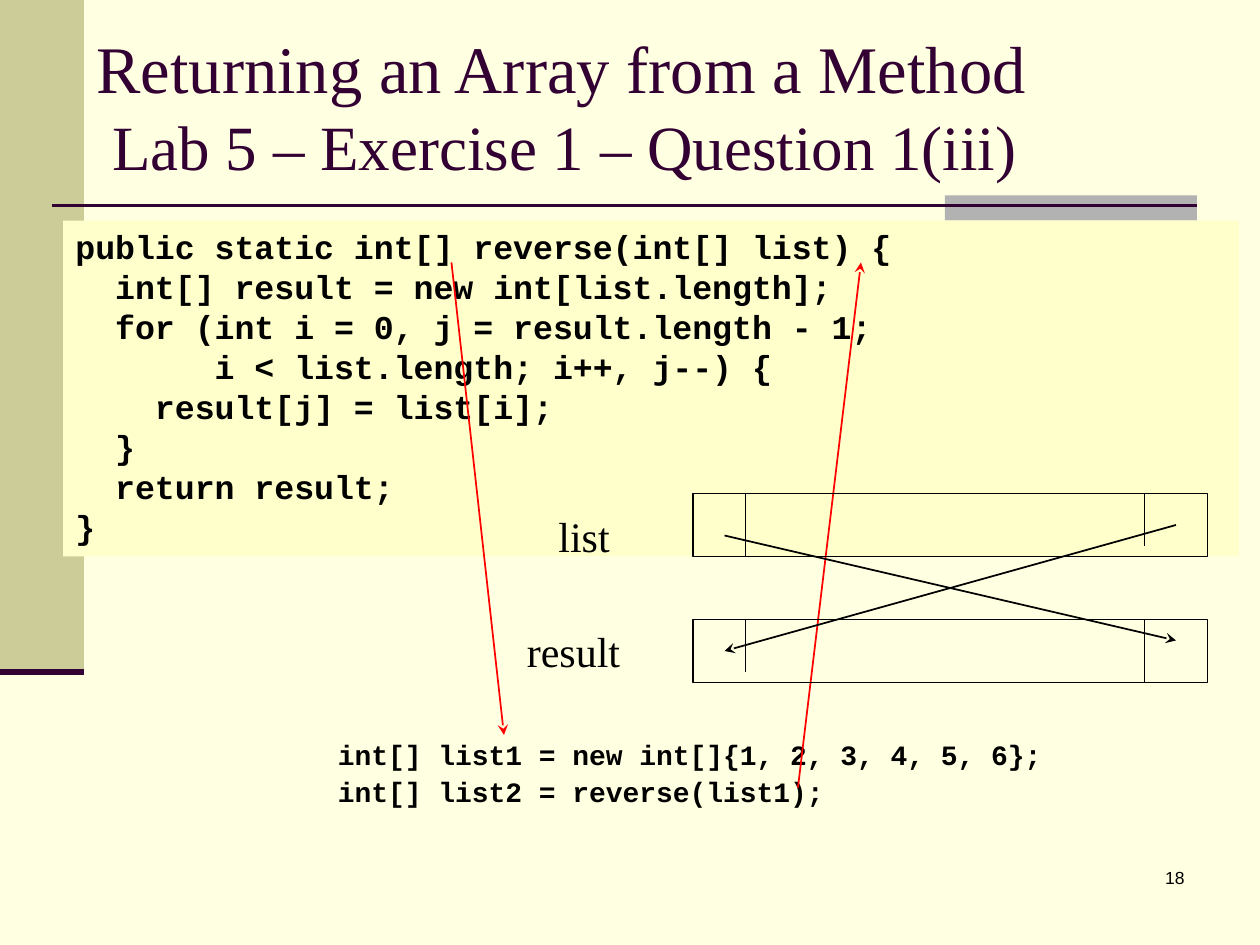
from dataclasses import dataclass

from lxml import etree
from pptx import Presentation
from pptx.dml.color import RGBColor
from pptx.enum.shapes import MSO_CONNECTOR, MSO_SHAPE
from pptx.enum.text import MSO_ANCHOR, MSO_AUTO_SIZE, PP_ALIGN
from pptx.oxml.ns import qn
from pptx.util import Inches, Pt

RECT = MSO_SHAPE.RECTANGLE
STRAIGHT = MSO_CONNECTOR.STRAIGHT
LEFT, RIGHT = PP_ALIGN.LEFT, PP_ALIGN.RIGHT
TOP, MIDDLE = MSO_ANCHOR.TOP, MSO_ANCHOR.MIDDLE
NO_FIT = MSO_AUTO_SIZE.NONE

COLORS = {
    "page": "FFFFE1",
    "sidebar": "CCCC99",
    "accent": "B2B2B2",
    "plum": "330033",
    "code": "FFFFCC",
    "black": "000000",
    "red": "FF0000",
}
SERIF, SANS, MONO = "Times New Roman", "Arial", "Courier New"

# The slide is a grid of 120 columns by 90 rows.
COLS, ROWS = 120, 90
prs = Presentation()
prs.slide_width, prs.slide_height = Inches(10), Inches(7.5)
CELL = prs.slide_width // COLS


@dataclass
class Box:
    col: float
    row: float
    cols: float
    rows: float

    def emu(self) -> list[int]:
        return [round(v * CELL) for v in (self.col, self.row, self.cols, self.rows)]


@dataclass
class Line:
    col1: float
    row1: float
    col2: float
    row2: float
    color: str = "black"
    width: float = 1
    arrow: bool = False


@dataclass
class Font:
    name: str
    size: float
    color: str = "black"
    bold: bool = False


def rgb(name: str) -> RGBColor:
    return RGBColor.from_string(COLORS[name])


def add_run(p, text: str, font: Font) -> None:
    r = p.add_run()
    r.text = text
    r.font.name, r.font.size, r.font.bold = font.name, Pt(font.size), font.bold
    r.font.color.rgb = rgb(font.color)


def add_rect(shapes, box: Box, fill: str | None = None, line: str | None = None):
    sp = shapes.add_shape(RECT, *box.emu())
    sp.shadow.inherit = False
    if fill:
        sp.fill.solid()
        sp.fill.fore_color.rgb = rgb(fill)
    else:
        sp.fill.background()
    if line:
        sp.line.color.rgb = rgb(line)
        sp.line.width = Pt(1)
    else:
        sp.line.fill.background()
    return sp


def add_line(shapes, line: Line) -> None:
    ends = (line.col1, line.row1, line.col2, line.row2)
    cxn = shapes.add_connector(STRAIGHT, *(round(v * CELL) for v in ends))
    cxn.line.color.rgb = rgb(line.color)
    cxn.line.width = Pt(line.width)
    if line.arrow:
        tail = etree.SubElement(cxn.line._get_or_add_ln(), qn("a:tailEnd"))
        tail.set("type", "stealth")
    etree.SubElement(cxn._element.spPr, qn("a:effectLst"))


def write_lines(sp, lines: list[str], font: Font, align=LEFT,
                spacing: float = 1, gap: float = 0) -> None:
    """Put each line in its own paragraph, with gap points between them."""
    tf = sp.text_frame
    tf.word_wrap = True
    tf.vertical_anchor = TOP
    for i, text in enumerate(lines):
        p = tf.add_paragraph() if i else tf.paragraphs[0]
        p.alignment = align
        p.line_spacing = spacing
        if i:
            p.space_before = Pt(gap)
        add_run(p, text, font)


def add_text(shapes, box: Box, lines: list[str], font: Font, **layout) -> None:
    write_lines(shapes.add_textbox(*box.emu()), lines, font, **layout)


def add_title(slide) -> None:
    title = slide.shapes.title
    title.left, title.top, title.width, title.height = Box(8, 4, 103, 12).emu()
    tf = title.text_frame
    tf.auto_size = NO_FIT
    tf.vertical_anchor = MIDDLE
    p = tf.paragraphs[0]
    p.alignment = LEFT
    add_run(p, "Returning an Array from a Method", Font(SERIF, 38, "plum"))
    p.add_line_break()
    add_run(p, " Lab 5 – Exercise 1 – Question 1(iii)", Font(SERIF, 36, "plum"))


METHOD = [
    "public static int[] reverse(int[] list) {",
    "  int[] result = new int[list.length];",
    "  for (int i = 0, j = result.length - 1;",
    "       i < list.length; i++, j--) {",
    "    result[j] = list[i];",
    "  }",
    "  return result;",
    "}",
]
CALL = [
    "int[] list1 = new int[]{1, 2, 3, 4, 5, 6};",
    "int[] list2 = reverse(list1);",
]
ARRAY_COL, ARRAY_COLS, ARRAY_ROWS = 66, 49, 6
LIST_ROW, RESULT_ROW = 47, 59
FIRST_COL, LAST_COL = 71, 109  # dividers of the first and last array elements

DECOR_LINES = [
    Line(5, 19.6, 114, 19.6, "plum", 1.5),
    Line(0, 64, 8, 64, "plum", 3.5),
]
CALL_ARROWS = [
    Line(76, 75, 82, 25, "red", arrow=True),
    Line(43, 25, 48, 70, "red", arrow=True),
]
DIVIDERS = [
    Line(col, row, col, row + rows)
    for col, row, rows in [
        (FIRST_COL, LIST_ROW, ARRAY_ROWS),
        (FIRST_COL, RESULT_ROW, ARRAY_ROWS - 1),
        (LAST_COL, RESULT_ROW, ARRAY_ROWS),
        (LAST_COL, LIST_ROW, ARRAY_ROWS - 1),
    ]
]
SWAP_ARROWS = [
    Line(69, 51, 112, 61, arrow=True),
    Line(112, 50, 69, 62, arrow=True),
]

slide = prs.slides.add_slide(prs.slide_layouts.get_by_name("Title Only"))
slide.background.fill.solid()
slide.background.fill.fore_color.rgb = rgb("page")
shapes = slide.shapes

add_rect(shapes, Box(0, 0, 8, 64), "sidebar")
add_rect(shapes, Box(90, 18.6, 24, 2.4), "accent")
for line in DECOR_LINES:
    add_line(shapes, line)
add_text(shapes, Box(89, 82, 25, 6), ["18"], Font(SANS, 10), align=RIGHT)
add_title(slide)

method_box = add_rect(shapes, Box(6, 21, 112, 32), "code")
write_lines(method_box, METHOD, Font(MONO, 19, bold=True))
add_text(shapes, Box(31, 70, 88, 9), CALL, Font(MONO, 16, bold=True),
         spacing=0.9, gap=4)

for line in CALL_ARROWS:
    add_line(shapes, line)
for row in (LIST_ROW, RESULT_ROW):
    add_rect(shapes, Box(ARRAY_COL, row, ARRAY_COLS, ARRAY_ROWS), line="black")
for line in DIVIDERS:
    add_line(shapes, line)
add_text(shapes, Box(52, 48, 10, 6), ["list"], Font(SERIF, 24))
add_text(shapes, Box(49, 59, 14, 6), ["result"], Font(SERIF, 24))
for line in SWAP_ARROWS:
    add_line(shapes, line)

prs.save("out.pptx")
